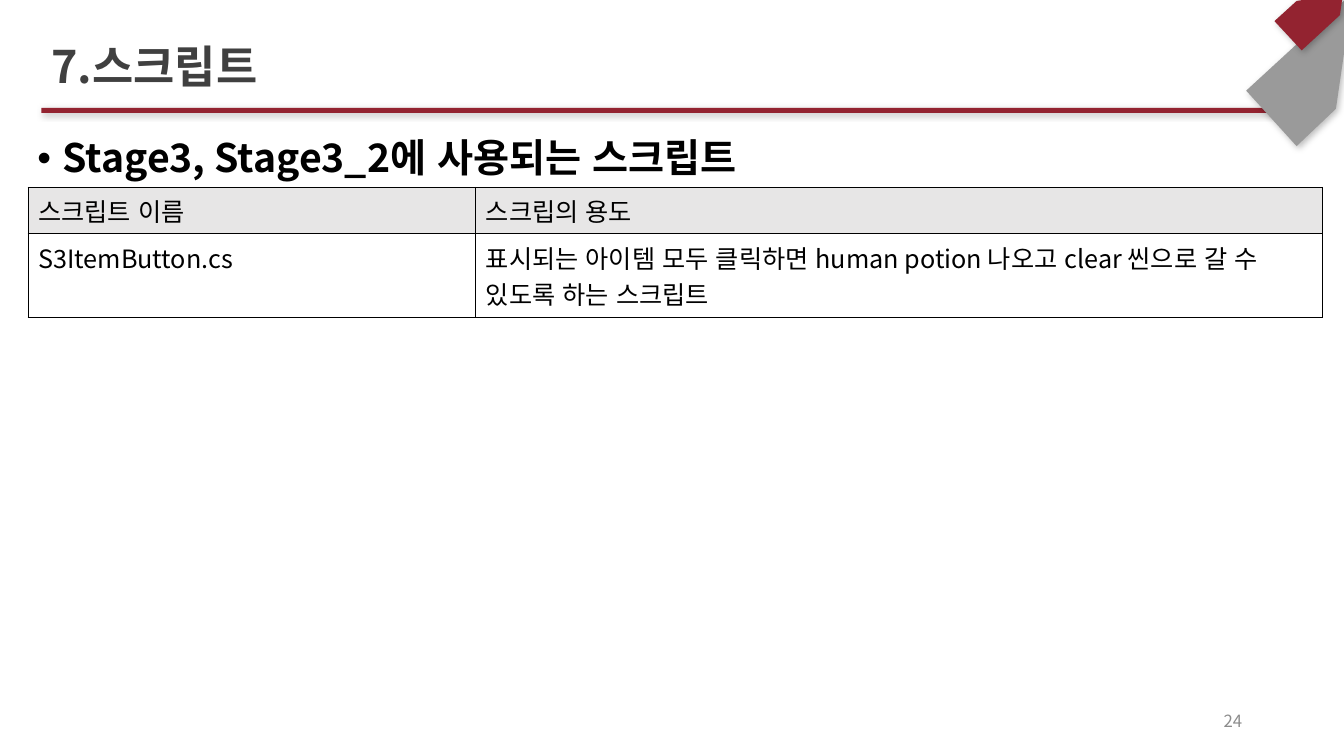
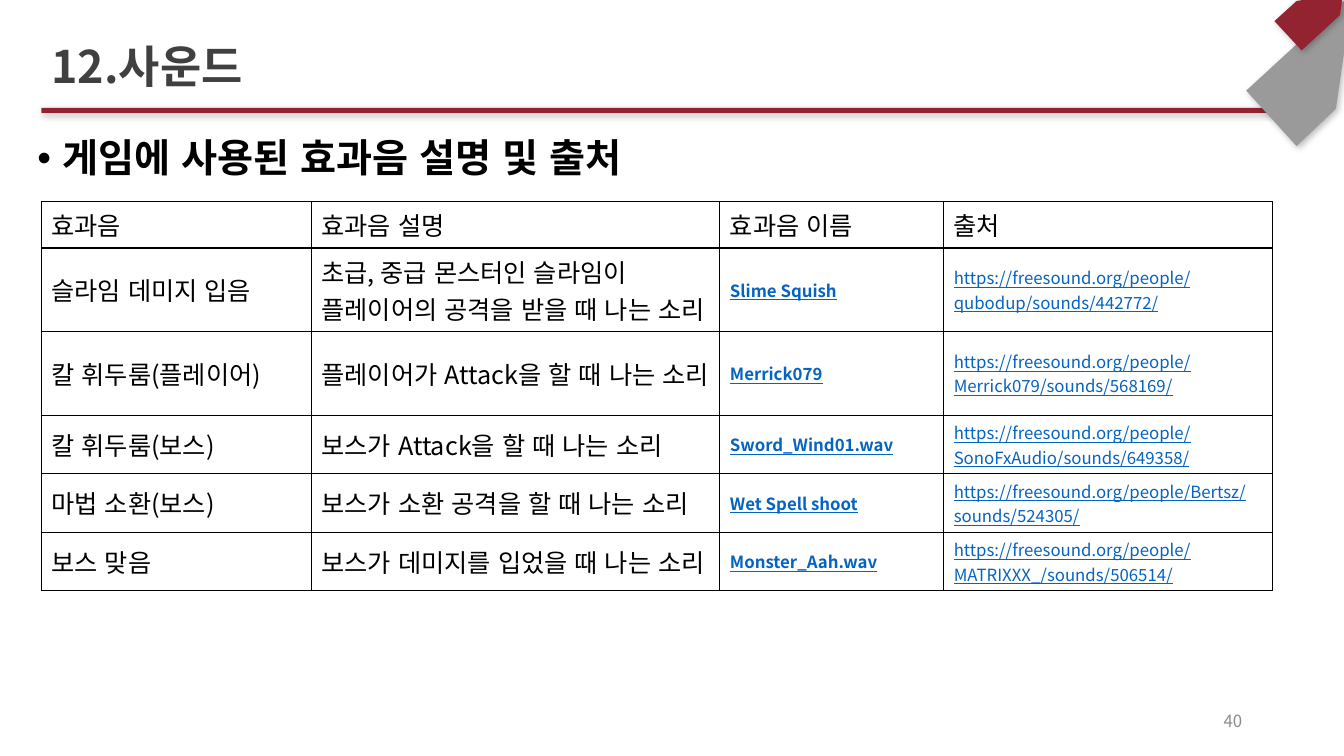
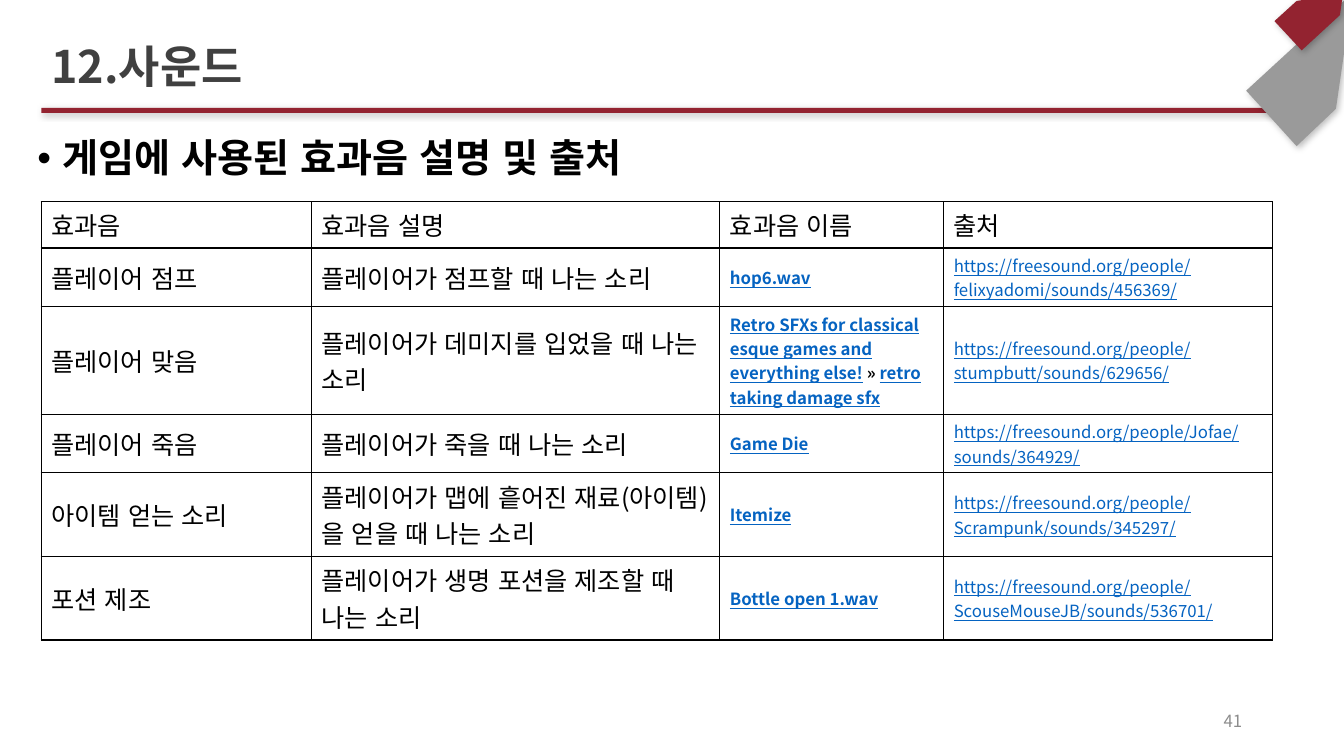
"""Build three slides on game scripts and sound effects with a shared layout."""
from lxml import etree
from pptx import Presentation
from pptx.dml.color import RGBColor
from pptx.enum import lang, shapes, text
from pptx.oxml import ns, parse_xml
from pptx.util import Inches, Pt

FONT = "Noto Sans CJK KR"
RED = RGBColor(0x93, 0x23, 0x30)
GRAY = RGBColor(0x9A, 0x9A, 0x9A)
TITLE = RGBColor(0x40, 0x40, 0x40)
NUMBER = RGBColor(0x8C, 0x8C, 0x8C)
BLACK = RGBColor(0, 0, 0)
LINK = RGBColor(0x05, 0x63, 0xC1)
HEADER = RGBColor(0xE7, 0xE6, 0xE6)

SHADOW = (
    f'<a:effectLst {ns.nsdecls("a")}><a:outerShdw blurRad="63500" dist="25400" dir="2700000">'
    '<a:srgbClr val="000000"><a:alpha val="26000"/></a:srgbClr></a:outerShdw></a:effectLst>'
)
BORDER = (
    '<a:{side} {ns} w="12700"><a:solidFill><a:srgbClr val="000000"/></a:solidFill></a:{side}>'
)
SEPARATOR = " » "

SCRIPT_ROWS = [
    ("스크립트 이름", "스크립의 용도"),
    ("S3ItemButton.cs",
     "표시되는 아이템 모두 클릭하면 human potion 나오고 clear 씬으로 갈 수 있도록 하는 스크립트"),
]
SOUND_HEADER = ("효과음", "효과음 설명", "효과음 이름", "출처")
ENEMY_SOUNDS = [
    SOUND_HEADER,
    ("슬라임 데미지 입음", "초급, 중급 몬스터인 슬라임이 플레이어의 공격을 받을 때 나는 소리",
     "Slime Squish", "https://freesound.org/people/qubodup/sounds/442772/"),
    ("칼 휘두룸(플레이어)", "플레이어가 Attack을 할 때 나는 소리",
     "Merrick079", "https://freesound.org/people/Merrick079/sounds/568169/"),
    ("칼 휘두룸(보스)", "보스가 Attack을 할 때 나는 소리",
     "Sword_Wind01.wav", "https://freesound.org/people/SonoFxAudio/sounds/649358/"),
    ("마법 소환(보스)", "보스가 소환 공격을 할 때 나는 소리",
     "Wet Spell shoot", "https://freesound.org/people/Bertsz/sounds/524305/"),
    ("보스 맞음", "보스가 데미지를 입었을 때 나는 소리",
     "Monster_Aah.wav", "https://freesound.org/people/MATRIXXX_/sounds/506514/"),
]
PLAYER_SOUNDS = [
    SOUND_HEADER,
    ("플레이어 점프", "플레이어가 점프할 때 나는 소리",
     "hop6.wav", "https://freesound.org/people/felixyadomi/sounds/456369/"),
    ("플레이어 맞음", "플레이어가 데미지를 입었을 때 나는 소리",
     "Retro SFXs for classical esque games and everything else! » retro taking damage sfx",
     "https://freesound.org/people/stumpbutt/sounds/629656/"),
    ("플레이어 죽음", "플레이어가 죽을 때 나는 소리",
     "Game Die", "https://freesound.org/people/Jofae/sounds/364929/"),
    ("아이템 얻는 소리", "플레이어가 맵에 흩어진 재료(아이템)을 얻을 때 나는 소리",
     "Itemize", "https://freesound.org/people/Scrampunk/sounds/345297/"),
    ("포션 제조", "플레이어가 생명 포션을 제조할 때 나는 소리",
     "Bottle open 1.wav", "https://freesound.org/people/ScouseMouseJB/sounds/536701/"),
]
ONE_LINE, TWO_LINES, TWO_LINKS, FOUR_LINKS = 0.46, 0.83, 0.58, 1.07
SCRIPT_HEIGHTS = (ONE_LINE, TWO_LINES)
ENEMY_HEIGHTS = (ONE_LINE, TWO_LINES, TWO_LINES, TWO_LINKS, TWO_LINKS, TWO_LINKS)
PLAYER_HEIGHTS = (ONE_LINE, TWO_LINKS, FOUR_LINKS, TWO_LINKS, TWO_LINES, TWO_LINES)
SOUND_TITLE = ("12.사운드", "게임에 사용된 효과음 설명 및 출처")
SOUND_PLACE = (0.41, 2, (2.68, 4.05, 2.22, 3.26))
SLIDES = [
    ("7.스크립트", "Stage3, Stage3_2에 사용되는 스크립트", 24, SCRIPT_ROWS, SCRIPT_HEIGHTS,
     0.28, 1.86, (4.44, 8.4)),
    (*SOUND_TITLE, 40, ENEMY_SOUNDS, ENEMY_HEIGHTS, *SOUND_PLACE),
    (*SOUND_TITLE, 41, PLAYER_SOUNDS, PLAYER_HEIGHTS, *SOUND_PLACE),
]


def add_run(p, words, size, color, bold=False, underline=False):
    r = p.add_run()
    r.text = words
    r.font.language_id = lang.MSO_LANGUAGE_ID.KOREAN
    r.font.size = Pt(size)
    r.font.bold = bold
    r.font.underline = underline
    r.font.color.rgb = color
    r.font.name = FONT
    etree.SubElement(r.font._element, ns.qn("a:ea"), typeface=FONT)


def fill_cell(cell, words, is_link, bold, fill, anchor):
    cell.vertical_anchor = anchor
    if fill is None:
        cell.fill.background()
    else:
        cell.fill.solid()
        cell.fill.fore_color.rgb = fill
    tcPr = cell._tc.get_or_add_tcPr()
    for i, side in enumerate(("lnL", "lnR", "lnT", "lnB")):
        tcPr.insert(i, parse_xml(BORDER.format(side=side, ns=ns.nsdecls("a"))))
    p = cell.text_frame.paragraphs[0]
    if not is_link:
        add_run(p, words, 18, BLACK)
        return
    for part in words.partition(SEPARATOR):
        if part == SEPARATOR:
            add_run(p, part, 12, BLACK, bold)
        elif part:
            add_run(p, part, 12, LINK, bold, True)


prs = Presentation()
prs.slide_width, prs.slide_height = Inches(13.33), Inches(7.5)
layout = prs.slide_layouts[1]
for ph in list(layout.placeholders)[2:]:
    ph.element.getparent().remove(ph.element)
for ph, box in zip(layout.placeholders, [(0.41, 0.39, 10.72, 0.59), (0.27, 1.33, 12.15, 5.43)]):
    ph.left, ph.top, ph.width, ph.height = map(Inches, box)

for number, (title, heading, page, rows, heights, left, top, widths) in enumerate(SLIDES):
    s = prs.slides.add_slide(layout)

    if number == 0:
        band = s.shapes.add_shape(shapes.MSO_SHAPE.RECTANGLE,
                                  Inches(0.41), Inches(1.07), Inches(12.64), Inches(0.05))
        decorations = [(band, RED)]
        for color, points in [
            (GRAY, [(13.35, -0.01), (13.41, -0.02), (13.25, 1.08), (12.86, 1.45), (12.36, 0.9)]),
            (RED, [(12.86, 0.01), (13.32, -0.06), (13.29, 0.15), (12.91, 0.5), (12.64, 0.21)]),
        ]:
            corners = [(Inches(x), Inches(y)) for x, y in points]
            outline = s.shapes.build_freeform(*corners[0])
            outline.add_line_segments(corners[1:])
            decorations.append((outline.convert_to_shape(), color))
        for sp, color in decorations:
            sp.fill.solid()
            sp.fill.fore_color.rgb = color
            sp.line.fill.background()
            sp.element.spPr.append(parse_xml(SHADOW))
            layout.shapes.element.append(sp.element)

    tf = s.shapes.title.text_frame
    tf.vertical_anchor = text.MSO_ANCHOR.MIDDLE
    tf.auto_size = text.MSO_AUTO_SIZE.NONE
    p = tf.paragraphs[0]
    p.alignment = text.PP_ALIGN.LEFT
    p.line_spacing = 0.9
    add_run(p, title, 32, TITLE, True)

    tf = s.placeholders[1].text_frame
    tf.auto_size = text.MSO_AUTO_SIZE.NONE
    p = tf.paragraphs[0]
    p.line_spacing = 0.9
    p.space_before = Pt(0)
    pPr = p._p.get_or_add_pPr()
    pPr.set("marL", str(Inches(0.25)))
    pPr.set("indent", str(Inches(-0.25)))
    etree.SubElement(pPr, ns.qn("a:buChar"), char="•")
    add_run(p, heading, 28, BLACK, True)

    tf = s.shapes.add_textbox(Inches(9.42), Inches(6.95), Inches(3), Inches(0.4)).text_frame
    tf.word_wrap = True
    tf.vertical_anchor = text.MSO_ANCHOR.MIDDLE
    p = tf.paragraphs[0]
    p.alignment = text.PP_ALIGN.RIGHT
    add_run(p, str(page), 12, NUMBER)

    table = s.shapes.add_table(len(rows), len(widths), Inches(left), Inches(top),
                               Inches(sum(widths)), Inches(sum(heights))).table
    table.first_row = table.horz_banding = False
    for column, width in zip(table.columns, widths):
        column.width = Inches(width)
    for row, height in zip(table.rows, heights):
        row.height = Inches(height)
    for i, row in enumerate(rows):
        middle = i > 0 and rows is not SCRIPT_ROWS
        anchor = text.MSO_ANCHOR.MIDDLE if middle else text.MSO_ANCHOR.TOP
        fill = HEADER if i == 0 and rows is SCRIPT_ROWS else None
        for j, words in enumerate(row):
            fill_cell(table.cell(i, j), words, i > 0 and j > 1, j == 2, fill, anchor)

prs.save("out.pptx")
